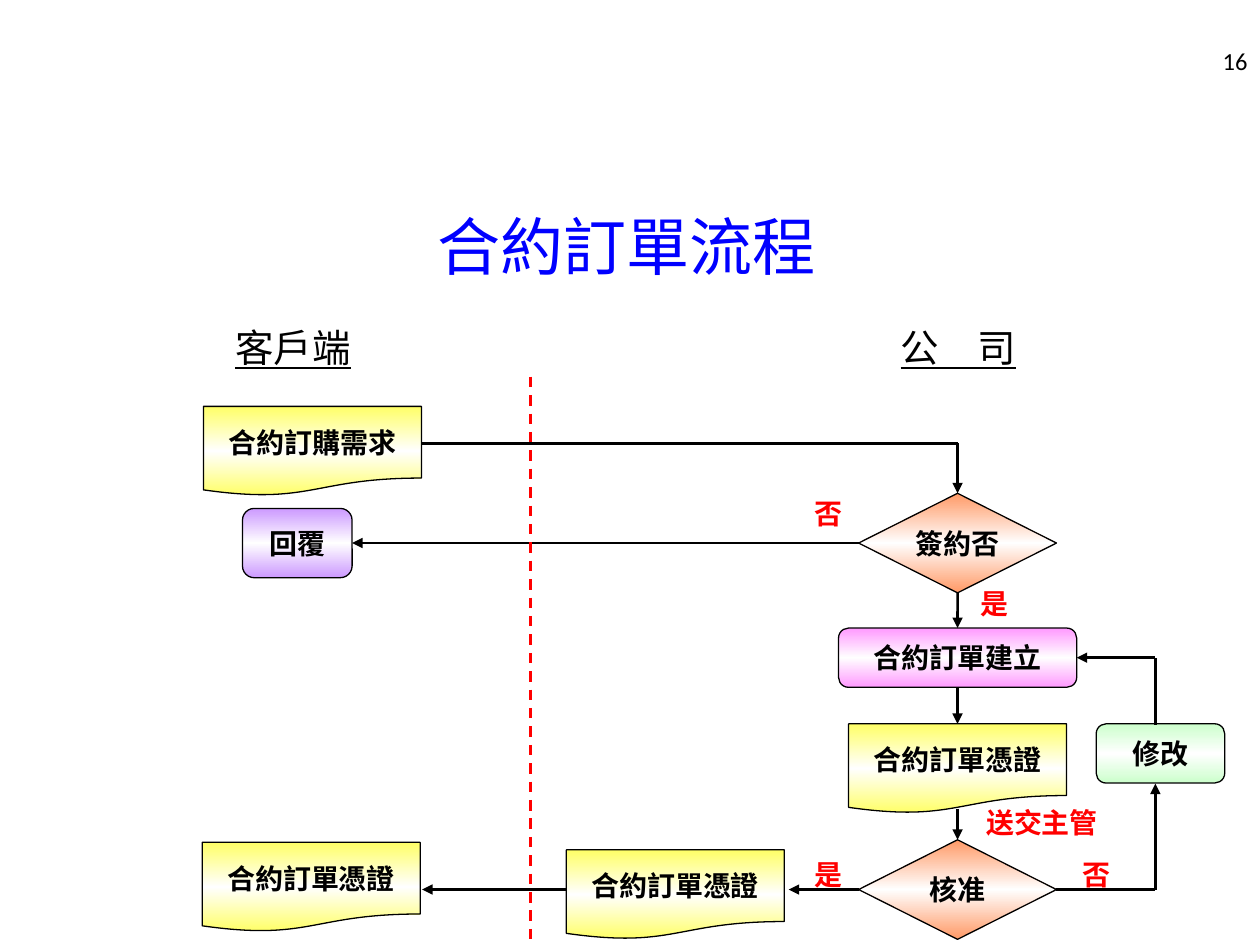
from copy import deepcopy

from lxml import etree
from pptx import Presentation
from pptx.dml.color import RGBColor
from pptx.enum.dml import MSO_LINE
from pptx.enum.shapes import MSO_CONNECTOR, MSO_SHAPE
from pptx.enum.text import MSO_ANCHOR, PP_ALIGN
from pptx.oxml.ns import qn
from pptx.util import Inches, Pt

STRAIGHT = MSO_CONNECTOR.STRAIGHT
DOCUMENT = MSO_SHAPE.FLOWCHART_DOCUMENT
DECISION = MSO_SHAPE.FLOWCHART_DECISION
ROUNDED = MSO_SHAPE.ROUNDED_RECTANGLE
CALLOUT = MSO_SHAPE.ROUNDED_RECTANGULAR_CALLOUT
LEFT, CENTER, RIGHT = PP_ALIGN.LEFT, PP_ALIGN.CENTER, PP_ALIGN.RIGHT
TOP_ANCHOR, MIDDLE = MSO_ANCHOR.TOP, MSO_ANCHOR.MIDDLE
TOP, LEFT_SIDE, BOTTOM, RIGHT_SIDE = range(4)

COLORS = {
    "black": "000000", "white": "FFFFFF", "blue": "0000FF", "red": "FF0000",
    "yellow": "FFFF66", "orange": "FF9966", "pink": "FF99FF",
    "green": "CCFFCC", "purple": "CC99FF",
}
DOCUMENT_SIZE = (1.73, 0.71)
DECISION_SIZE = (1.57, 0.79)
AXIS = 7.6          # centre of the company's column
REWORK_X = 9.17     # vertical line of the rework loop
APPROVAL_Y = 7.06   # row of the approval step


def rgb(name):
    return RGBColor.from_string(COLORS[name])


def write(shape, text, size=16, font="Arial", color="black", bold=False,
          underline=False, align=CENTER, anchor=MIDDLE, wrap=False):
    frame = shape.text_frame
    frame.word_wrap = wrap
    frame.vertical_anchor = anchor
    paragraph = frame.paragraphs[0]
    paragraph.alignment = align
    run = paragraph.add_run()
    run.text = text
    run.font.size = Pt(size)
    run.font.name = font
    run.font.bold = bold
    run.font.underline = underline
    run.font.color.rgb = rgb(color)


class FlowSlide:
    """Holds the slide and the line widths shared by its elements."""

    outline_width = Pt(0.75)
    flow_width = Pt(1.5)

    def __init__(self, slide):
        self.slide = slide

    def text(self, text, box, **style):
        write(self.slide.shapes.add_textbox(*map(Inches, box)), text, **style)

    def node(self, text, kind, center, size, color, font="Arial", adjustments=()):
        """Add a flowchart step centred on a point, lighter in its middle."""
        (x, y), (width, height) = center, size
        shape = self.slide.shapes.add_shape(
            kind, Inches(x - width / 2), Inches(y - height / 2),
            Inches(width), Inches(height))
        shape.shadow.inherit = False
        for index, value in enumerate(adjustments):
            shape.adjustments[index] = value
        self.mirror_gradient(shape, color)
        shape.line.color.rgb = rgb("black")
        shape.line.width = self.outline_width
        write(shape, text, font=font, bold=True)
        return shape

    def mirror_gradient(self, shape, color):
        """Fill from colour to white and back, top to bottom."""
        shape.fill.gradient()
        shape.fill.gradient_angle = 90
        stops = shape._element.spPr.find(".//" + qn("a:gsLst"))
        stops.append(deepcopy(stops[-1]))
        for stop, position, name in zip(
                shape.fill.gradient_stops, (0, 0.5, 1), (color, "white", color)):
            stop.position = position
            stop.color.rgb = rgb(name)

    def line(self, start, end, arrow=False, color="black", dash=None):
        """Join two ends, each an (x, y) point or a (shape, side) pair."""
        points = [self.locate(*start), self.locate(*end)]
        connector = self.slide.shapes.add_connector(
            STRAIGHT, *points[0], *points[1])
        if not isinstance(start[0], (int, float)):
            connector.begin_connect(*start)
        if not isinstance(end[0], (int, float)):
            connector.end_connect(*end)
        connector.line.color.rgb = rgb(color)
        connector.line.width = self.flow_width
        if dash:
            connector.line.dash_style = dash
        if arrow:
            etree.SubElement(connector.line._get_or_add_ln(), qn("a:tailEnd"),
                             type="triangle", w="med", len="med")
        etree.SubElement(connector._element.spPr, qn("a:effectLst"))

    @staticmethod
    def locate(first, second):
        if isinstance(first, (int, float)):
            return Inches(first), Inches(second)
        across, down = ((0.5, 0), (0, 0.5), (0.5, 1), (1, 0.5))[second]
        return (int(first.left + first.width * across),
                int(first.top + first.height * down))


def main():
    presentation = Presentation()
    presentation.slide_width = Inches(10)
    presentation.slide_height = Inches(7.5)
    flow = FlowSlide(presentation.slides.add_slide(presentation.slide_layouts[6]))

    flow.text("16", (7.67, 0.28, 2.33, 0.4), size=14, font="Calibri",
              align=RIGHT, wrap=True)
    flow.text("合約訂單流程", (0.47, 1.48, 9, 0.93), size=36,
              font="Times New Roman", color="blue", wrap=True)
    for heading, x in (("客戶端", 1.77), ("公　司", 7.05)):
        flow.text(heading, (x, 2.52, 1.18, 0.47), size=22, underline=True,
                  align=LEFT, anchor=TOP_ANCHOR, wrap=True)

    flow.node("合約訂購需求", DOCUMENT, (2.48, 3.58), DOCUMENT_SIZE, "yellow")
    signing = flow.node("簽約否", DECISION, (AXIS, 4.31), DECISION_SIZE, "orange")
    reply = flow.node("回覆", CALLOUT, (2.36, 4.31), (0.87, 0.55), "purple",
                      font="Times New Roman", adjustments=(0.5, 0.13, 0.17))
    creation = flow.node("合約訂單建立", ROUNDED, (AXIS, 5.22), (1.89, 0.47), "pink")
    voucher = flow.node("合約訂單憑證", DOCUMENT, (AXIS, 6.1), DOCUMENT_SIZE, "yellow")
    flow.node("修改", ROUNDED, (9.21, 5.98), (1.02, 0.47), "green")
    approval = flow.node("核准", DECISION, (AXIS, APPROVAL_Y), DECISION_SIZE, "orange")
    for center in ((5.36, 7.1), (2.47, 7.04)):
        flow.node("合約訂單憑證", DOCUMENT, center, DOCUMENT_SIZE, "yellow")

    request_corner = (AXIS, 3.52)
    approval_corner = (REWORK_X, APPROVAL_Y)
    rework_corner = (REWORK_X, 5.22)
    for start, end, arrow in (
            ((3.35, 3.52), request_corner, False),
            (request_corner, (signing, TOP), True),
            ((signing, LEFT_SIDE), (reply, RIGHT_SIDE), True),
            ((signing, BOTTOM), (creation, TOP), True),
            ((creation, BOTTOM), (voucher, TOP), True),
            ((AXIS, 6.42), (approval, TOP), True),
            ((approval, RIGHT_SIDE), approval_corner, False),
            (approval_corner, (REWORK_X, 6.22), True),
            ((REWORK_X, 5.75), rework_corner, False),
            (rework_corner, (creation, RIGHT_SIDE), True),
            ((approval, LEFT_SIDE), (6.26, APPROVAL_Y), True),
            ((4.5, APPROVAL_Y), (3.35, APPROVAL_Y), True)):
        flow.line(start, end, arrow)

    for answer, x, y in (("否", 6.26, 3.88), ("是", 7.58, 4.59),
                         ("是", 6.26, 6.74), ("否", 8.39, 6.74)):
        flow.text(answer, (x, y, 0.63, 0.39), color="red", bold=True)
    flow.text("送交主管", (7.72, 6.25, 1.1, 0.55), font="Times New Roman",
              color="red", bold=True)
    flow.line((4.21, 2.99), (4.21, 7.48), color="red", dash=MSO_LINE.DASH)

    presentation.save("out.pptx")


if __name__ == "__main__":
    main()
